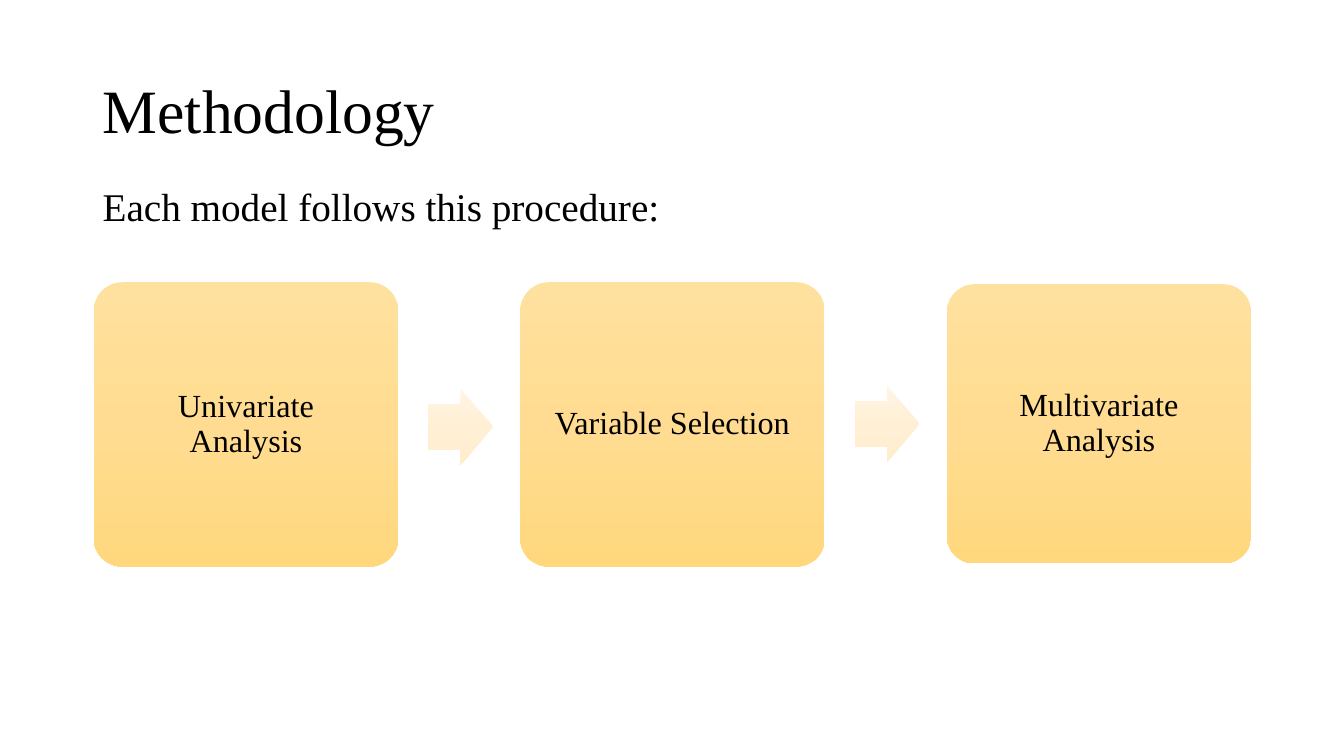
"""Build the Methodology slide: a three-step procedure joined by block arrows."""
from copy import deepcopy

from pptx import Presentation
from pptx.dml.color import RGBColor
from pptx.enum.shapes import MSO_SHAPE
from pptx.enum.text import MSO_ANCHOR, PP_ALIGN
from pptx.oxml.ns import qn
from pptx.util import Inches, Pt

BLACK = RGBColor(0x00, 0x00, 0x00)
CARD_COLORS = [RGBColor(0xFF, 0xE1, 0x9F), RGBColor(0xFF, 0xDC, 0x91), RGBColor(0xFF, 0xD8, 0x7D)]
ARROW_COLORS = [RGBColor(0xFF, 0xF5, 0xE5), RGBColor(0xFF, 0xEF, 0xD4), RGBColor(0xFF, 0xED, 0xCE)]
PITCH = 4.23


def write(tf, text, size, anchor, align, spacing):
    for name, value in {"word_wrap": True, "vertical_anchor": anchor}.items():
        setattr(tf, name, value)
    p = tf.paragraphs[0]
    for name, value in {"alignment": align, "line_spacing": spacing}.items():
        setattr(p, name, value)
    r = p.add_run()
    r.text = text
    for name, value in {"name": "Times New Roman", "size": Pt(size)}.items():
        setattr(r.font, name, value)
    r.font.color.rgb = BLACK


def add_block(kind, box, adjustments, colors):
    sp = s.shapes.add_shape(kind, *map(Inches, box))
    sp.shadow.inherit = False
    sp.line.fill.background()
    for i, value in enumerate(adjustments):
        sp.adjustments[i] = value
    sp.fill.gradient()
    sp.fill.gradient_angle = 270
    stops = sp.fill._xPr.find(".//" + qn("a:gsLst"))
    stops.insert(1, deepcopy(stops[0]))
    for stop, position, color in zip(sp.fill.gradient_stops, (0, 0.5, 1), colors):
        stop.position = position
        stop.color.rgb = color
    return sp


prs = Presentation()
prs.slide_width, prs.slide_height = Inches(13.33), Inches(7.5)
s = prs.slides.add_slide(prs.slide_layouts[5])

title = s.shapes.title
bounds = {"left": 0.92, "top": 0.4, "width": 11.5, "height": 1.45}
for name, value in bounds.items():
    setattr(title, name, Inches(value))
write(title.text_frame, "Methodology", 44, MSO_ANCHOR.MIDDLE, PP_ALIGN.LEFT, 0.9)

intro = s.shapes.add_textbox(Inches(0.92), Inches(1.76), Inches(10.19), Inches(0.57))
write(intro.text_frame, "Each model follows this procedure:", 28, MSO_ANCHOR.TOP, PP_ALIGN.LEFT, 1.0)

steps = [
    ("Univariate Analysis", 2.8, 2.82),
    ("Variable Selection", 2.8, 2.82),
    ("Multivariate Analysis", 2.82, 2.77),
]
for i, (step, top, height) in enumerate(steps):
    card = add_block(MSO_SHAPE.ROUNDED_RECTANGLE, (0.93 + i * PITCH, top, 3.02, height), [0.1], CARD_COLORS)
    tf = card.text_frame
    for side in ("left", "top", "right", "bottom"):
        setattr(tf, f"margin_{side}", Inches(0.18))
    write(tf, step, 23, MSO_ANCHOR.MIDDLE, PP_ALIGN.CENTER, 0.9)

for i, top in enumerate((3.86, 3.83)):
    add_block(MSO_SHAPE.RIGHT_ARROW, (4.25 + i * PITCH, top, 0.64, 0.75), [0.6, 0.5], ARROW_COLORS)

prs.save("out.pptx")
